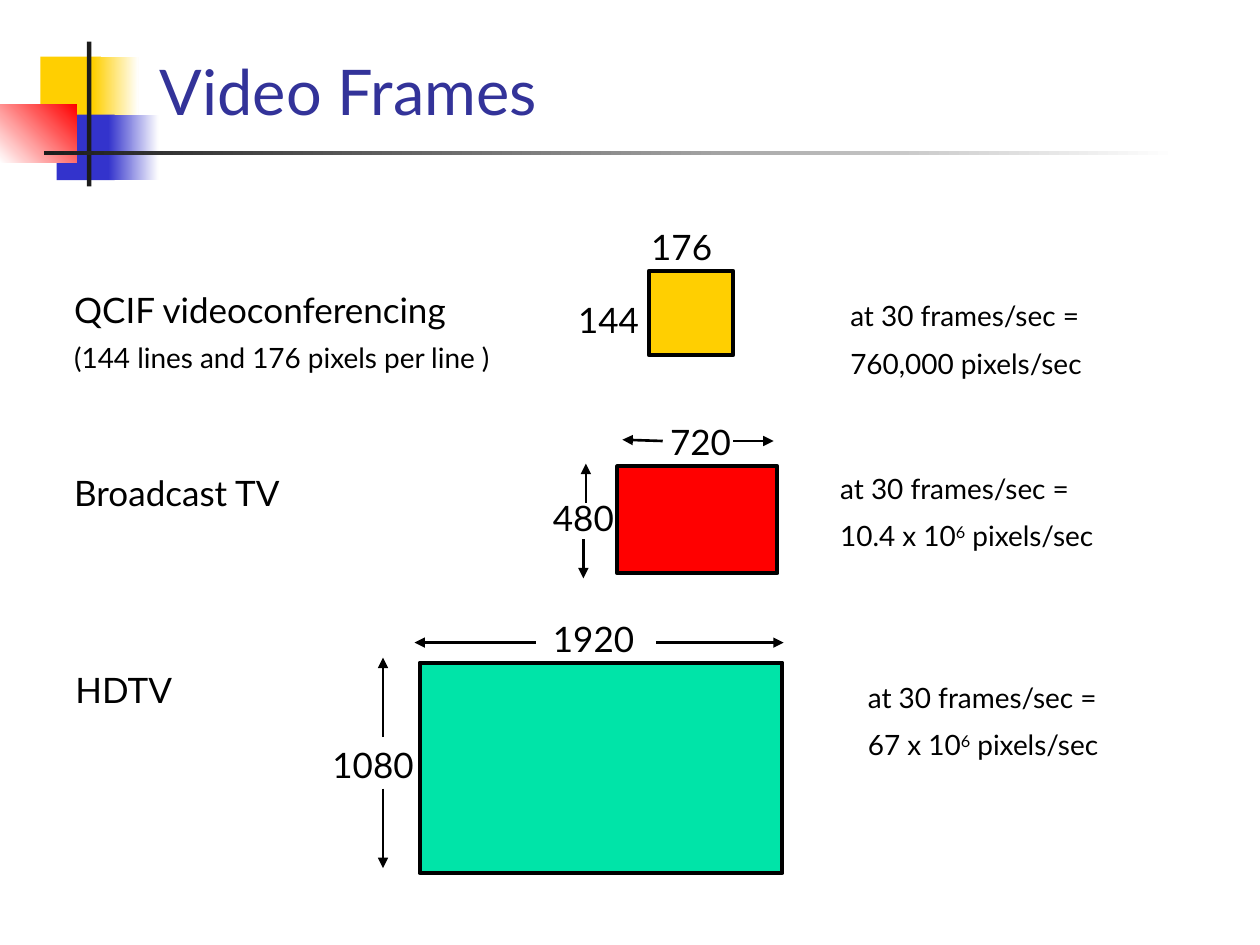
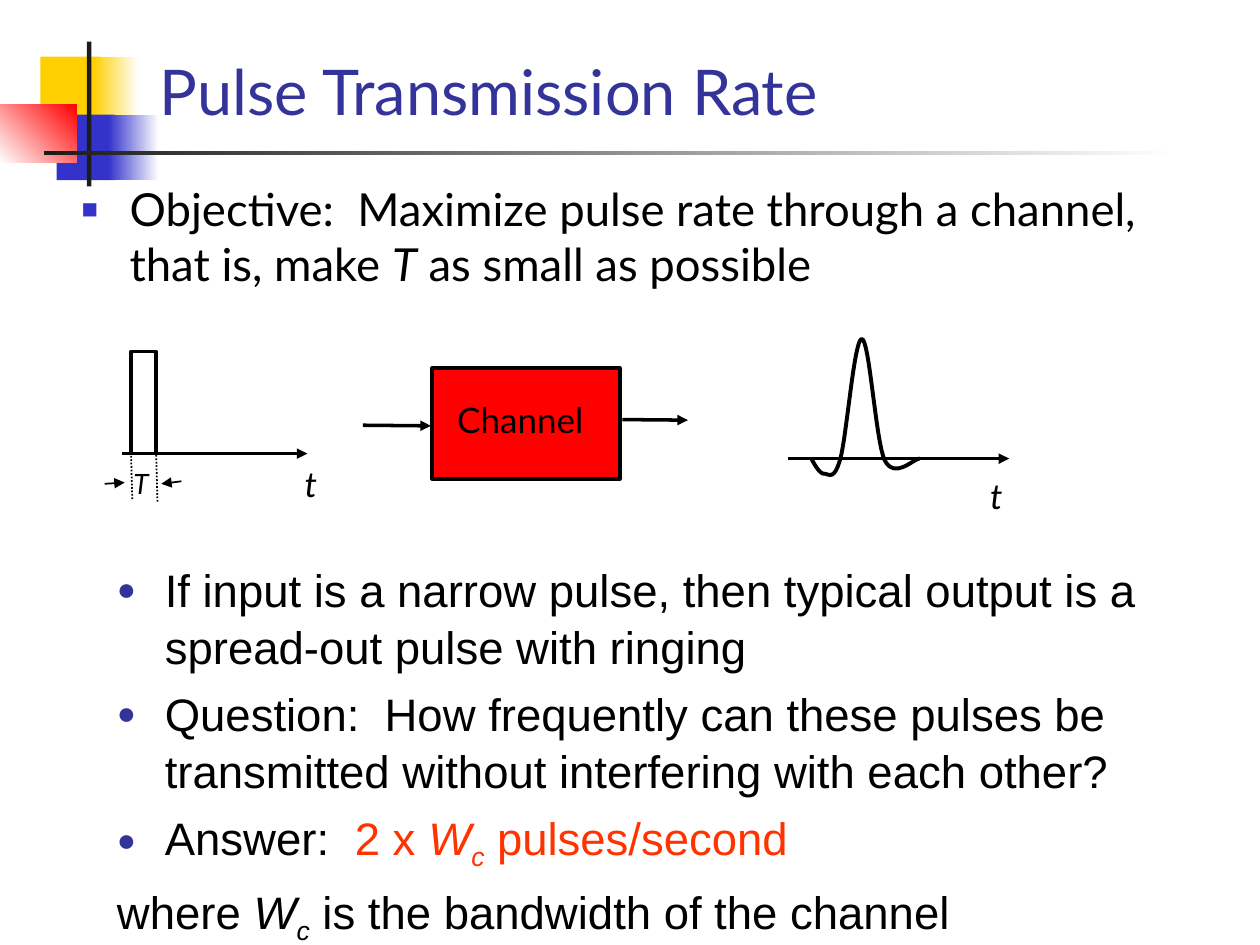
"""Builds two lecture slides: video frame sizes and pulse transmission rate."""
import lxml.etree
import pptx
import pptx.dml.color
import pptx.enum.dml
import pptx.enum.shapes
import pptx.enum.text
import pptx.oxml.ns
import pptx.util

COLORS = {
    "black": "000000", "white": "FFFFFF", "ink": "1C1C1C", "title": "333399",
    "blue": "3333CC", "yellow": "FFCF01", "red": "FF0000", "green": "00E4A8",
    "answer": "FF3300",
}
BASELINES = {"super": "30000", "sub": "-25000"}
RECTANGLE = pptx.enum.shapes.MSO_SHAPE.RECTANGLE
qn = pptx.oxml.ns.qn

deck = pptx.Presentation()
deck.slide_width = pptx.util.Inches(10)
deck.slide_height = pptx.util.Inches(7.5)
COLUMN = deck.slide_width / 100
ROW = deck.slide_height / 75


def rgb(name):
    """Return the named colour."""
    return pptx.dml.color.RGBColor.from_string(COLORS[name])


def write(page, place, paragraphs, size=20, font="Lato", color="black", before=0.5,
          bullet=None, spacing=None, anchor="TOP"):
    """Add a text box; a paragraph is a string or a list of (text, styles, colour)."""
    left, top, width, height = place
    box = page.shapes.add_textbox(round(left * COLUMN), round(top * ROW),
                                  round(width * COLUMN), round(height * ROW))
    frame = box.text_frame
    frame.word_wrap = True
    frame.vertical_anchor = getattr(pptx.enum.text.MSO_ANCHOR, anchor)
    for number, spans in enumerate(paragraphs):
        para = frame.add_paragraph() if number else frame.paragraphs[0]
        if bullet:
            symbol, bullet_color, percent, bulleted = bullet
            properties = para._p.get_or_add_pPr()
            properties.set("marL", str(pptx.util.Inches(0.38)))
            properties.set("indent", str(-pptx.util.Inches(0.38)))
            if number < bulleted:
                tint = lxml.etree.SubElement(properties, qn("a:buClr"))
                lxml.etree.SubElement(tint, qn("a:srgbClr"), val=COLORS[bullet_color])
                lxml.etree.SubElement(properties, qn("a:buSzPct"), val=str(percent * 1000))
                lxml.etree.SubElement(properties, qn("a:buFont"), typeface="Arial")
                lxml.etree.SubElement(properties, qn("a:buChar"), char=symbol)
            else:
                lxml.etree.SubElement(properties, qn("a:buNone"))
        if number:
            para.space_before = pptx.util.Pt(round(size * before, 1))
        if spacing:
            para.line_spacing = spacing
        para.font.size = pptx.util.Pt(size)
        para.font.name = font
        para.font.color.rgb = rgb(color)
        for text, styles, tint in [(spans, "", "")] if isinstance(spans, str) else spans:
            span = para.add_run()
            span.text = text
            if "italic" in styles:
                span.font.italic = True
            if tint:
                span.font.color.rgb = rgb(tint)
            for style in styles.split():
                if style in BASELINES:
                    span._r.get_or_add_rPr().set("baseline", BASELINES[style])


bands = [
    ((3.2, 4.5, 4.8, 5.2), ["yellow"], 0),
    ((7.4, 4.5, 3.6, 5.2), ["yellow", "white"], 0),
    ((4.5, 9.1, 4.6, 5.2), ["blue"], 0),
    ((8.6, 9.1, 4, 5.2), ["blue", "white"], 0),
    ((0, 8.3, 6.1, 4.6), ["white", "red"], 45),
    ((6.9, 3.3, 0.35, 11.5), ["ink"], 0),
    ((3.5, 12, 90, 0.3), ["ink", "white"], 0),
]
pages = []
for title in ("Video Frames", "Pulse Transmission Rate"):
    page = deck.slides.add_slide(deck.slide_layouts[6])
    pages.append(page)
    for (left, top, width, height), colors, angle in bands:
        band = page.shapes.add_shape(RECTANGLE, round(left * COLUMN), round(top * ROW),
                                     round(width * COLUMN), round(height * ROW))
        band.shadow.inherit = False
        band.line.fill.background()
        if len(colors) == 1:
            band.fill.solid()
            band.fill.fore_color.rgb = rgb(colors[0])
        else:
            band.fill.gradient()
            band.fill.gradient_angle = angle
            for stop, color in zip(band.fill.gradient_stops, colors):
                stop.color.rgb = rgb(color)
    write(page, (11.7, 3.3, 85.2, 7.4), [title], size=36, color="title", anchor="BOTTOM")
video, pulse = pages

rectangles = [
    (video, (51.5, 21.5, 6.7, 6.7), "yellow", 2.25),
    (video, (49, 37, 12.7, 8.5), "red", 2.25),
    (video, (33.3, 52.6, 28.8, 16.7), "green", 2.25),
    (pulse, (34.3, 29.2, 14.9, 8.8), "red", 2),
    (pulse, (10.4, 27.9, 2, 8.1), None, 2),
]
for page, (left, top, width, height), color, weight in rectangles:
    rectangle = page.shapes.add_shape(RECTANGLE, round(left * COLUMN), round(top * ROW),
                                      round(width * COLUMN), round(height * ROW))
    rectangle.shadow.inherit = False
    rectangle.line.color.rgb = rgb("black")
    rectangle.line.width = pptx.util.Pt(weight)
    if color:
        rectangle.fill.solid()
        rectangle.fill.fore_color.rgb = rgb(color)
    else:
        rectangle.fill.background()

width_arrows = [(58.2, 35, 61.4, 35), (52.6, 35, 49.4, 34.9),
                (52.1, 51, 62.2, 51), (42.5, 51, 32.9, 51)]
height_arrows = [(46.5, 39.9, 46.5, 36.8), (46.3, 42.8, 46.3, 45.9),
                 (30.4, 58.5, 30.4, 52.2), (30.4, 62.6, 30.4, 68.9)]
signal_arrows = [(28.8, 33.75, 34.2, 33.8), (49.4, 33.3, 54.6, 33.35),
                 (9.7, 36, 24.4, 36), (62.5, 36.4, 80.1, 36.4)]
period_arrows = [(8.3, 38.4, 9.9, 38.3), (14.4, 38.2, 12.8, 38.4)]
period_edges = [(10.4, 35.9, 10.5, 39.7), (12.4, 36.1, 12.5, 39.9)]
line_groups = [
    (video, width_arrows + height_arrows, 1.5, True),
    (pulse, signal_arrows, 2, True),
    (pulse, period_arrows, 1, True),
    (pulse, period_edges, 1, False),
]
for page, lines, weight, pointed in line_groups:
    for x1, y1, x2, y2 in lines:
        line = page.shapes.add_connector(
            pptx.enum.shapes.MSO_CONNECTOR.STRAIGHT, round(x1 * COLUMN), round(y1 * ROW),
            round(x2 * COLUMN), round(y2 * ROW))
        line.line.color.rgb = rgb("black")
        line.line.width = pptx.util.Pt(weight)
        properties = line._element.spPr
        if pointed:
            lxml.etree.SubElement(properties.find(qn("a:ln")), qn("a:tailEnd"), type="triangle")
        else:
            line.line.dash_style = pptx.enum.dml.MSO_LINE.ROUND_DOT
        lxml.etree.SubElement(properties, qn("a:effectLst"))

for number, left, top in [("176", 50.7, 17.4), ("144", 44.9, 23.2), ("720", 52.2, 32.9),
                          ("480", 42.9, 38.9), ("1920", 42.9, 48.5), ("1080", 25.4, 58.5)]:
    write(video, (left, top, 9.6, 4.3), [number])

formats = [
    (["Broadcast TV"], 4.9, 36.9),
    (["HDTV"], 5, 52.6),
    (["QCIF videoconferencing"], 4.9, 22.4),
]
for name, left, top in formats:
    write(video, (left, top, 37.5, 4.3), name)
write(video, (4.9, 26.5, 37.5, 3.7), ["(144 lines and 176 pixels per line )"], size=16)

rates = [
    ("760,000 pixels/sec", 66.5, 23.2),
    ([("10.4 x 10", "", ""), ("6", "super", ""), (" pixels/sec", "", "")], 65.7, 36.9),
    ([("67 x 10", "", ""), ("6", "super", ""), (" pixels/sec", "", "")], 67.9, 53.5),
]
for rate, left, top in rates:
    write(video, (left, top, 26.7, 8.5), ["at 30 frames/sec =", rate], size=16)

objective = [("Objective:  Maximize pulse rate through a channel, that is, make ", "", ""),
             ("T", "italic", ""), (" as small as possible", "", "")]
write(pulse, (5.5, 13.9, 89.2, 9.7), [objective], size=26, bullet=("■", "blue", 60, 1))
write(pulse, (35.3, 31.1, 13, 4.3), ["Channel"])
for label, left, top, size in [("t", 23.2, 36.2, 20), ("t", 77.6, 37.2, 20),
                               ("T", 9.6, 36.5, 16)]:
    write(pulse, (left, top, 3.5, 4.3), [[(label, "italic", "")]], size=size)

bandwidth = [("W", "italic", ""), ("c", "italic sub", "")]
conclusions = [
    "If input is a narrow pulse, then typical output is a spread-out pulse with ringing",
    "Question:  How frequently can these pulses be transmitted without interfering "
    "with each other?",
    [("Answer:  ", "", ""), ("2 x ", "", "answer")]
    + [(text, styles, "answer") for text, styles, tint in bandwidth]
    + [(" pulses/second", "", "answer")],
    [("where ", "", "")] + bandwidth + [(" is the bandwidth of the channel", "", "")],
]
write(pulse, (8.3, 43.9, 83.5, 21.4), conclusions, size=26, font="Arial", before=0.2,
      bullet=("●", "title", 70, 3), spacing=1.05)

ringing = [
    (64.4, 36.4), (64.7, 37), (65.1, 37.6), (65.4, 37.6), (65.8, 37.6), (66.2, 38.2),
    (66.7, 36.4), (67.2, 34.6), (67.8, 26.9), (68.4, 26.9), (69, 26.9), (69.5, 34.9),
    (70.2, 36.5), (71, 38.1), (72.5, 36.4), (73, 36.4),
]
STEPS = 16
curve = []
for first in range(0, len(ringing) - 1, 3):
    for step in range(1, STEPS + 1):
        t = step / STEPS
        weights = ((1 - t) ** 3, 3 * t * (1 - t) ** 2, 3 * t ** 2 * (1 - t), t ** 3)
        controls = ringing[first:first + 4]
        curve.append((round(sum(w * x for w, (x, y) in zip(weights, controls)) * COLUMN),
                      round(sum(w * y for w, (x, y) in zip(weights, controls)) * ROW)))
start_x, start_y = ringing[0]
outline = pulse.shapes.build_freeform(round(start_x * COLUMN), round(start_y * ROW))
outline.add_line_segments(curve, close=False)
response = outline.convert_to_shape()
response.shadow.inherit = False
response.fill.background()
response.line.color.rgb = rgb("black")
response.line.width = pptx.util.Pt(2.25)

deck.save("out.pptx")
